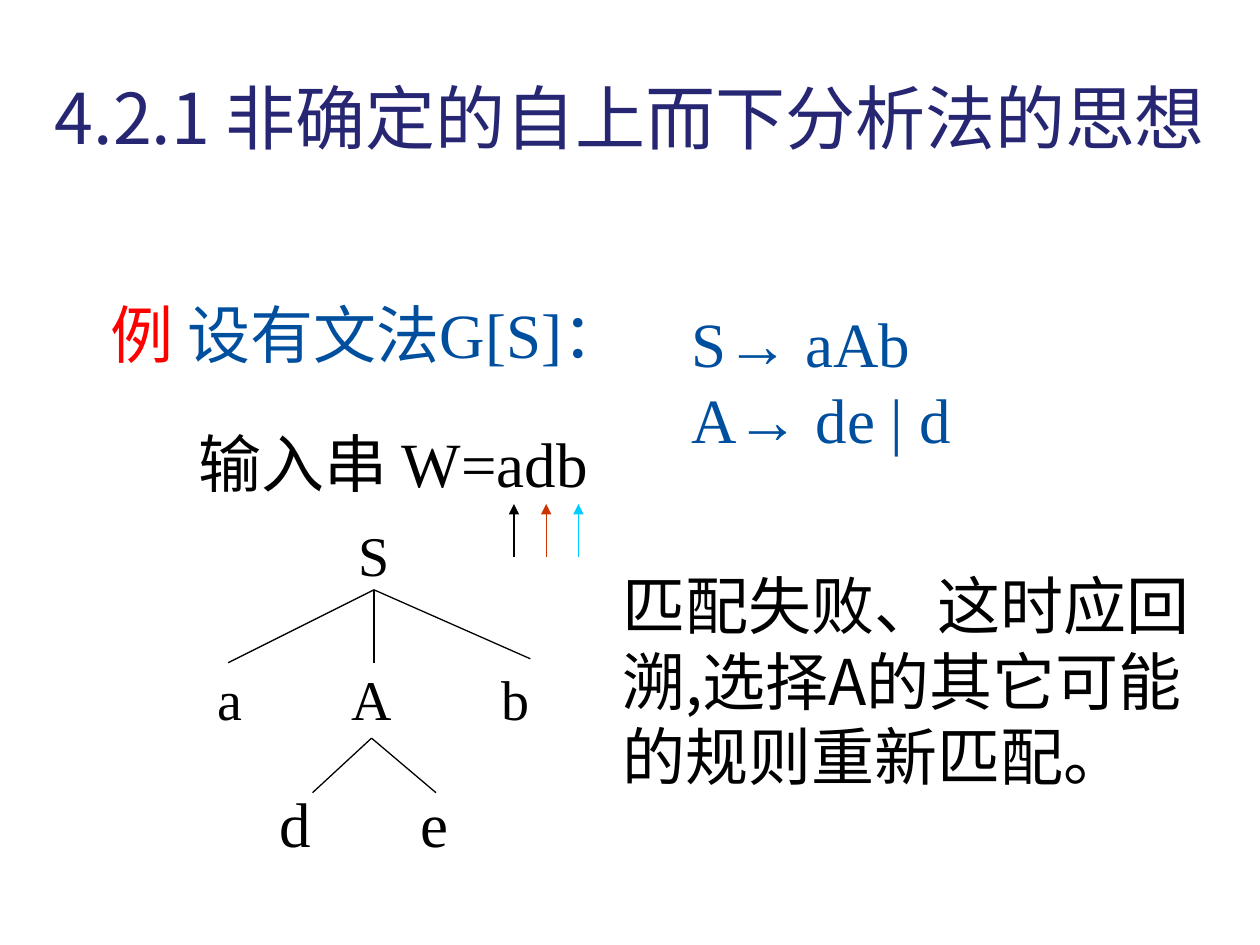
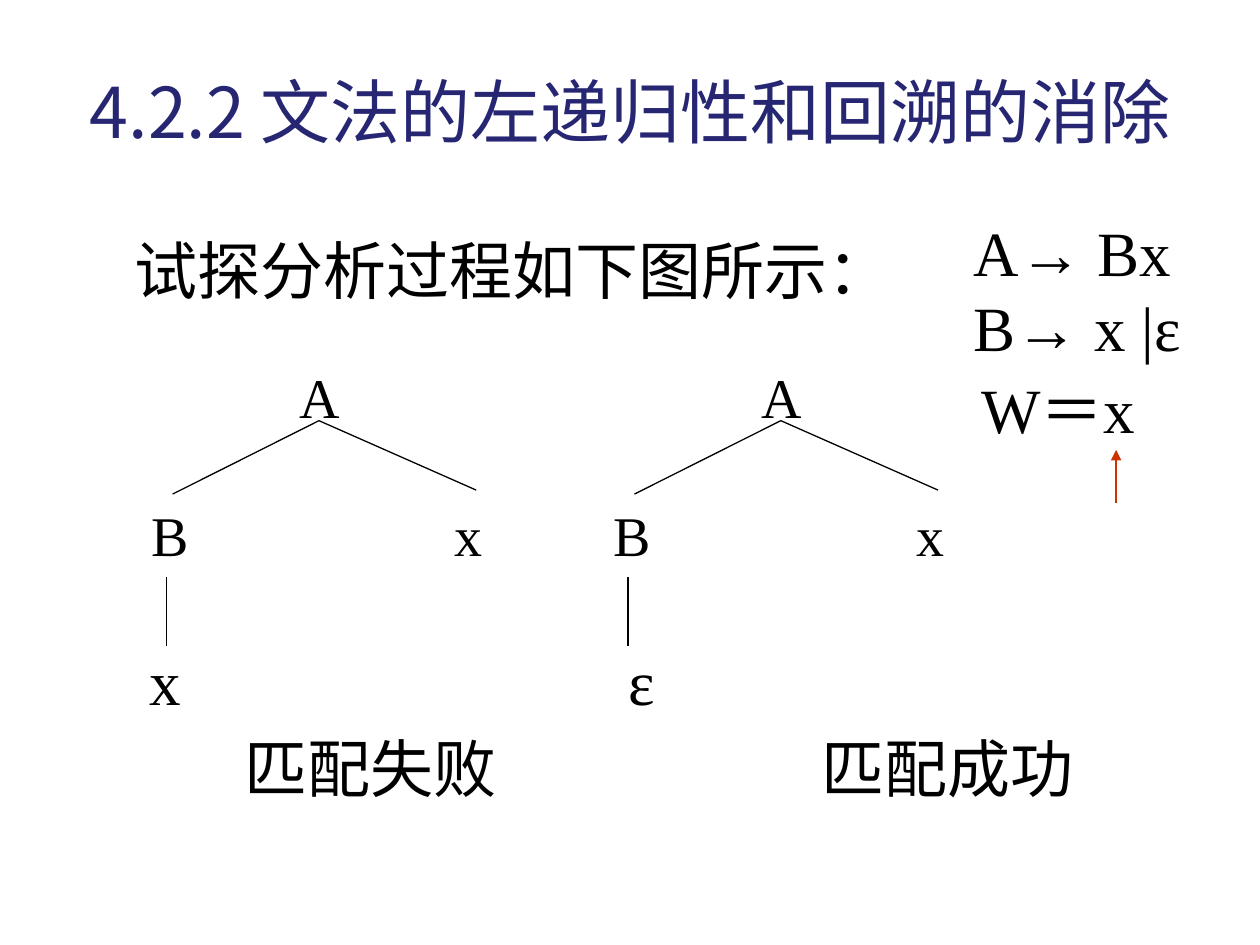
from lxml import etree
from pptx import Presentation
from pptx.dml.color import RGBColor
from pptx.enum.shapes import MSO_CONNECTOR
from pptx.enum.text import MSO_ANCHOR, PP_ALIGN
from pptx.oxml.ns import qn
from pptx.util import Cm, Pt

NAVY = RGBColor(0x26, 0x26, 0x73)
BLUE = RGBColor(0x00, 0x4F, 0x9E)
RED = RGBColor(0xFF, 0x00, 0x00)
RUST = RGBColor(0xCC, 0x33, 0x00)
CYAN = RGBColor(0x00, 0xCC, 0xFF)
BLACK = RGBColor(0x00, 0x00, 0x00)

SERIF = "Times New Roman"
SANS = "Noto Sans CJK SC"
STRAIGHT = MSO_CONNECTOR.STRAIGHT
LEFT, CENTER = PP_ALIGN.LEFT, PP_ALIGN.CENTER
TOP, MIDDLE = MSO_ANCHOR.TOP, MSO_ANCHOR.MIDDLE

WIDTH, HEIGHT = 25.4, 19.05
TITLE_HEIGHT = 3.96
NODE_WIDTH = 2
ARROW_LENGTH = 1.06


class LectureDeck:
    def __init__(self):
        self.deck = Presentation()
        self.deck.slide_width = Cm(WIDTH)
        self.deck.slide_height = Cm(HEIGHT)
        self.slide = None

    def start(self, title, top):
        self.slide = self.deck.slides.add_slide(self.deck.slide_layouts[6])
        self.text([title], 0, top, WIDTH, TITLE_HEIGHT, 40, NAVY, SANS, CENTER, MIDDLE)

    def text(self, lines, left, top, width, height=1.78, size=36, color=BLACK,
             font=SERIF, align=LEFT, anchor=TOP):
        frame = self.slide.shapes.add_textbox(
            Cm(left), Cm(top), Cm(width), Cm(height)).text_frame
        frame.word_wrap = True
        frame.vertical_anchor = anchor
        frame.text = "\n".join(lines)
        for paragraph in frame.paragraphs:
            paragraph.alignment = align
            paragraph.font.size = Pt(size)
            paragraph.font.name = font
            paragraph.font.color.rgb = color
            defaults = paragraph._p.pPr.find(qn("a:defRPr"))
            etree.SubElement(defaults, qn("a:ea"), typeface=SANS)
        return frame.paragraphs[0]

    def node(self, symbol, center, top, size=32):
        self.text([symbol], center - NODE_WIDTH / 2, top, NODE_WIDTH,
                  size=size, align=CENTER)

    def line(self, start, end, color=BLACK):
        connector = self.slide.shapes.add_connector(
            STRAIGHT, *(Cm(value) for value in (*start, *end)))
        connector.line.color.rgb = color
        connector.line.width = Pt(0.75)
        etree.SubElement(connector._element.spPr, qn("a:effectLst"))
        return connector

    def branches(self, root, *ends):
        for end in ends:
            self.line(root, end)

    def pointer(self, x, top, color):
        arrow = self.line((x, top), (x, top + ARROW_LENGTH), color)
        etree.SubElement(arrow.line._get_or_add_ln(), qn("a:headEnd"), type="triangle")


def build_backtracking(deck):
    deck.start("4.2.1 非确定的自上而下分析法的思想", 0.36)
    grammar = deck.text(["例 "], 1.98, 5.84, 12, color=RED)
    name = grammar.add_run()
    name.text = "设有文法G[S]："
    name.font.color.rgb = BLUE
    deck.text(["S→ aAb", "A→ de | d"], 13.69, 6.02, 7, 3.3, color=BLUE)
    deck.text(["输入串 W=adb"], 3.76, 8.43, 10)
    for index, color in enumerate((BLACK, RUST, CYAN)):
        deck.pointer(10.36 + 0.65 * index, 10.16, color)

    deck.node("S", 7.54, 10.36)
    deck.branches((7.54, 11.89), (4.6, 13.36), (7.54, 13.36), (10.69, 13.28))
    for symbol, center in (("a", 4.64), ("A", 7.49), ("b", 10.4)):
        deck.node(symbol, center, 13.28)
    deck.branches((7.49, 14.88), (6.3, 15.98), (8.79, 15.98))
    for symbol, center in (("d", 5.95), ("e", 8.76)):
        deck.node(symbol, center, 15.7, 36)
    deck.text(["匹配失败、这时应回溯,选择A的其它可能的规则重新匹配。"],
              12.29, 11.3, 12.9, 4.83, font=SANS)


def build_elimination(deck):
    deck.start("4.2.2 文法的左递归性和回溯的消除", 0.25)
    deck.text(["试探分析过程如下图所示："], 2.46, 4.55, 15.24, 3.3, font=SANS)
    deck.text(["A→ Bx", "B→ x |ε"], 19.38, 4.17, 5.5, 3.3)
    deck.text(["W＝x"], 19.53, 7.34, 3.61, 3.3)
    deck.pointer(22.5, 9.07, RUST)

    attempts = (
        (0, "x", 3.33, "匹配失败", 4.67),
        (9.31, "ε", 12.94, "匹配成功", 16.31),
    )
    for shift, leaf, leaf_center, verdict, verdict_left in attempts:
        deck.node("A", 6.45 + shift, 7.19)
        deck.branches((6.43 + shift, 8.48), (3.48 + shift, 9.96), (9.6 + shift, 9.88))
        deck.node("B", 3.43 + shift, 9.96)
        deck.node("x", 9.45 + shift, 9.96)
        deck.line((3.35 + shift, 11.63), (3.35 + shift, 13.03))
        deck.node(leaf, leaf_center, 12.83, 36)
        deck.text([verdict], verdict_left, 14.58, 6)


def main():
    lecture = LectureDeck()
    build_backtracking(lecture)
    build_elimination(lecture)
    lecture.deck.save("out.pptx")


if __name__ == "__main__":
    main()
